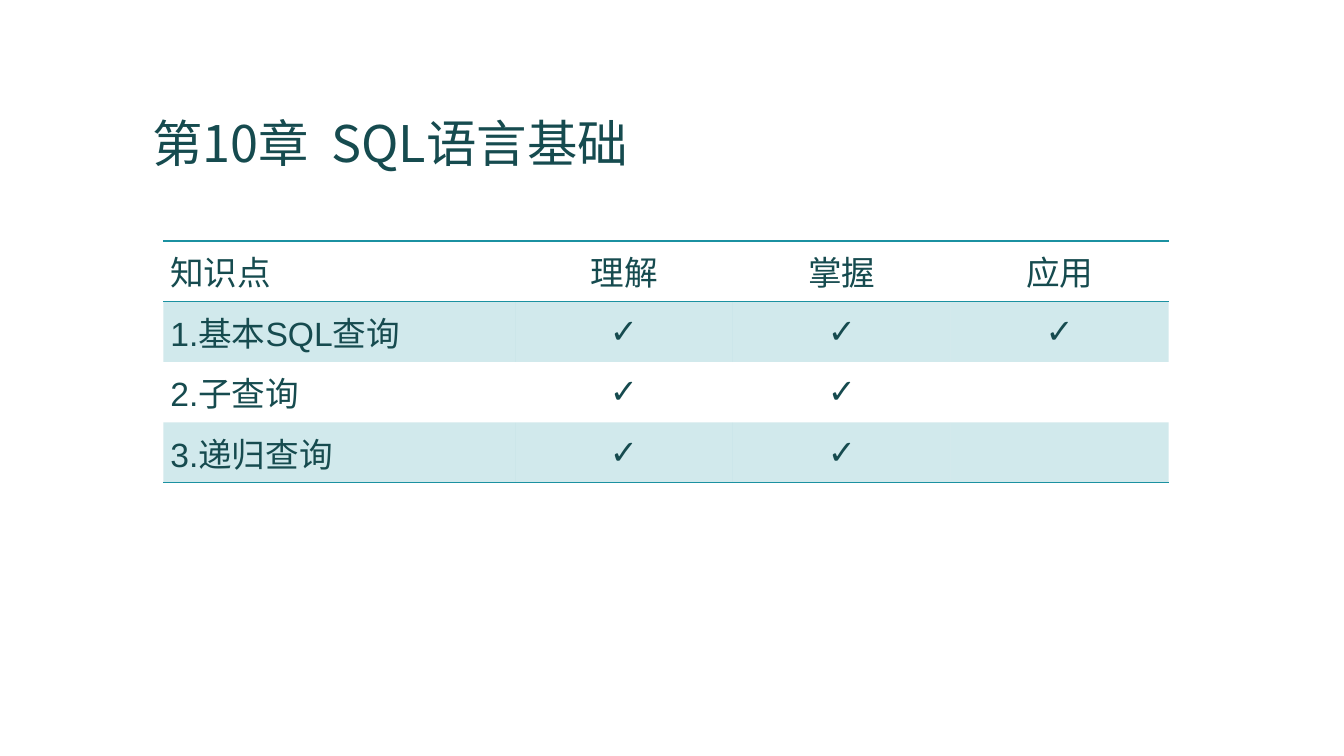
from dataclasses import dataclass

from lxml.etree import SubElement
from pptx import Presentation
from pptx.dml.color import RGBColor
from pptx.enum.text import MSO_ANCHOR as Anchor, PP_ALIGN as Align
from pptx.oxml.ns import qn
from pptx.util import Inches, Pt

INK, TEAL = "164B4F", "1B91A1"
CJK_FONT = "Noto Sans CJK SC"
NO_STYLE = "{2D5ABB26-0587-4C30-8999-92F81FD0307C}"
COLUMN_WIDTHS = (3.49, 2.16, 2.16, 2.16)
ROW_HEIGHT = 0.6


@dataclass
class TopicRow:
    texts: tuple[str, ...]
    banded: bool = False
    borders: tuple[str, ...] = ()


TOPICS = [
    TopicRow(("知识点", "理解", "掌握", "应用"), borders=("a:lnT", "a:lnB")),
    TopicRow(("1.基本SQL查询", "✓", "✓", "✓"), banded=True),
    TopicRow(("2.子查询", "✓", "✓", "")),
    TopicRow(("3.递归查询", "✓", "✓", ""), banded=True, borders=("a:lnB",)),
]


def rgb(value: str) -> RGBColor:
    return RGBColor.from_string(value)


def write(paragraph, text: str, size: int, font: str) -> None:
    paragraph.text = text
    paragraph.font.size = Pt(size)
    paragraph.font.color.rgb = rgb(INK)
    paragraph.font.name = font
    defaults = paragraph._p.pPr.find(qn("a:defRPr"))
    SubElement(defaults, qn("a:ea"), typeface=CJK_FONT)


def add_border(cell, index: int, side: str) -> None:
    line = cell._tc.get_or_add_tcPr().makeelement(qn(side), {"w": str(Pt(1))})
    fill = SubElement(line, qn("a:solidFill"))
    SubElement(fill, qn("a:srgbClr"), val=TEAL)
    cell._tc.tcPr.insert(index, line)  # borders come before the fill


def fill_cell(cell, text: str, centred: bool, row: TopicRow) -> None:
    cell.vertical_anchor = Anchor.MIDDLE
    cell.margin_left = cell.margin_right = Inches(0.07)
    cell.margin_top = cell.margin_bottom = Inches(0.06)
    paragraph = cell.text_frame.paragraphs[0]
    paragraph.alignment = Align.CENTER if centred else Align.LEFT
    write(paragraph, text, 24, "Arial")
    if row.banded:
        cell.fill.solid()
        cell.fill.fore_color.rgb = rgb(TEAL)
        tint = cell._tc.tcPr.find(".//" + qn("a:srgbClr"))
        SubElement(tint, qn("a:alpha"), val="20000")
    else:
        cell.fill.background()
    for index, side in enumerate(row.borders):
        add_border(cell, index, side)


def add_title(slide) -> None:
    title = slide.shapes.add_textbox(
        Inches(1.41), Inches(0.52), Inches(10.5), Inches(1.25)).text_frame
    title.word_wrap = True
    title.vertical_anchor = Anchor.BOTTOM
    heading = title.paragraphs[0]
    heading.line_spacing = 0.9
    write(heading, "第10章  SQL语言基础", 36, CJK_FONT)


def add_topics(slide) -> None:
    topics = slide.shapes.add_table(
        len(TOPICS), len(COLUMN_WIDTHS), Inches(1.62), Inches(2.39),
        Inches(sum(COLUMN_WIDTHS)), Inches(ROW_HEIGHT * len(TOPICS))).table
    topics.first_row = topics.horz_banding = False
    topics._tbl.tblPr.find(qn("a:tableStyleId")).text = NO_STYLE
    for column, width in zip(topics.columns, COLUMN_WIDTHS):
        column.width = Inches(width)
    for r, row in enumerate(TOPICS):
        for c, text in enumerate(row.texts):
            fill_cell(topics.cell(r, c), text, c > 0, row)


def main() -> None:
    deck = Presentation()
    deck.slide_width, deck.slide_height = Inches(13.33), Inches(7.5)
    slide = deck.slides.add_slide(deck.slide_layouts[6])
    # Chapter heading
    add_title(slide)
    # Topics and the level each one requires
    add_topics(slide)
    deck.save("out.pptx")


if __name__ == "__main__":
    main()
